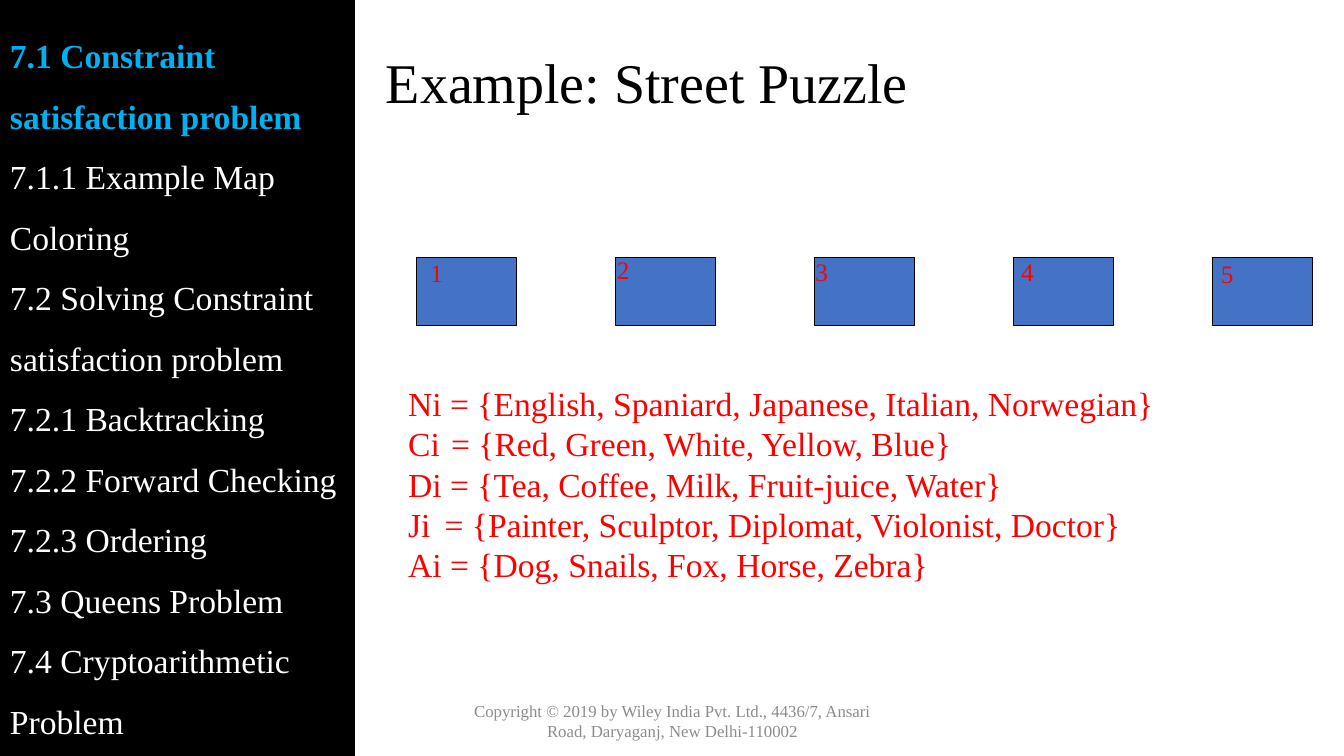
from pptx import Presentation
from pptx.dml.color import RGBColor
from pptx.enum import shapes, text
from pptx.util import Inches, Pt

BLACK = RGBColor(0, 0, 0)
WHITE = RGBColor(255, 255, 255)
RED = RGBColor(255, 0, 0)
BLUE = RGBColor(0x44, 0x72, 0xC4)
SKY = RGBColor(0, 0xB0, 0xF0)
GRAY = RGBColor(0x8C, 0x8C, 0x8C)

TOPICS = [
    "7.1 Constraint satisfaction problem",
    "7.1.1 Example Map Coloring",
    "7.2 Solving Constraint satisfaction problem",
    "7.2.1 Backtracking",
    "7.2.2 Forward Checking",
    "7.2.3 Ordering",
    "7.3 Queens Problem",
    "7.4 Cryptoarithmetic Problem",
]
DOMAINS = [
    ("Ni", 0, "{English, Spaniard, Japanese, Italian, Norwegian}"),
    ("Ci", 2, "{Red, Green, White, Yellow, Blue}"),
    ("Di", 0, "{Tea, Coffee, Milk, Fruit-juice, Water}"),
    ("Ji", 4, "{Painter, Sculptor, Diplomat, Violonist, Doctor}"),
    ("Ai", 0, "{Dog, Snails, Fox, Horse, Zebra}"),
]
LABELS = [(4.17, 2.5), (6.02, 2.47), (7.99, 2.49), (10.03, 2.49), (12.01, 2.51)]
NOTICE = ("Copyright\u00a0©\u00a02019 by Wiley India Pvt. Ltd., 4436/7, Ansari Road, "
          "Daryaganj, New Delhi-110002")


def write(para, words, size=24, color=RED, bold=False, align=text.PP_ALIGN.LEFT,
          lead=1.0, gap=0):
    para.alignment = align
    para.line_spacing = lead
    run = para.add_run()
    run.text = words
    font = run.font
    font.name = "Times New Roman"
    font.size = Pt(size)
    font.bold = bold
    font.color.rgb = color
    if gap:
        font._element.set("spc", str(gap * 100))


class Deck:
    font = "Times New Roman"

    def __init__(self):
        self.show = Presentation()
        self.show.slide_width = Inches(13.33)
        self.show.slide_height = Inches(7.5)
        self.slide = self.show.slides.add_slide(self.show.slide_layouts[6])

    def rect(self, x, y, w, h, fill, line=None):
        box = self.slide.shapes.add_shape(
            shapes.MSO_SHAPE.RECTANGLE, Inches(x), Inches(y), Inches(w), Inches(h))
        box.shadow.inherit = False
        box.fill.solid()
        box.fill.fore_color.rgb = fill
        if line is None:
            box.line.fill.background()
        else:
            box.line.color.rgb = line
            box.line.width = Pt(0.75)
        return box.text_frame

    def frame(self, x, y, w, h, wrap=False, anchor=text.MSO_ANCHOR.TOP):
        box = self.slide.shapes.add_textbox(Inches(x), Inches(y), Inches(w), Inches(h))
        frame = box.text_frame
        frame.word_wrap = wrap
        frame.vertical_anchor = anchor
        return frame

    def label(self, x, y, w, h, words, wrap=False, anchor=text.MSO_ANCHOR.TOP, **style):
        frame = self.frame(x, y, w, h, wrap, anchor)
        write(frame.paragraphs[0], words, **style)

    def topics(self):
        frame = self.rect(0, 0, 3.52, 7.5, BLACK)
        frame.word_wrap = True
        frame.vertical_anchor = text.MSO_ANCHOR.MIDDLE
        for i, topic in enumerate(TOPICS):
            para = frame.add_paragraph() if i else frame.paragraphs[0]
            write(para, topic, color=WHITE if i else SKY, bold=i == 0, lead=1.5)

    def houses(self):
        for i, (x, y) in enumerate(LABELS):
            self.rect(4.13 + 1.975 * i, 2.55, 0.99, 0.68, BLUE, BLACK)
            self.label(x, y, 0.33, 0.4, str(i + 1), size=18)

    def domains(self):
        frame = self.frame(3.95, 3.75, 7.66, 2.12)
        for i, (name, gap, values) in enumerate(DOMAINS):
            para = frame.add_paragraph() if i else frame.paragraphs[0]
            write(para, name)
            write(para, " ", gap=gap)
            write(para, f"= {values}")


def main():
    deck = Deck()
    middle = text.MSO_ANCHOR.MIDDLE
    deck.label(3.73, 0.35, 9.39, 1, "Example: Street Puzzle", wrap=True,
               anchor=middle, size=40, color=BLACK, lead=0.9)
    deck.houses()
    deck.domains()
    deck.topics()
    deck.label(4.42, 6.95, 4.5, 0.4, NOTICE, wrap=True, anchor=middle,
               size=12, color=GRAY, align=text.PP_ALIGN.CENTER)
    deck.show.save("out.pptx")


if __name__ == "__main__":
    main()
